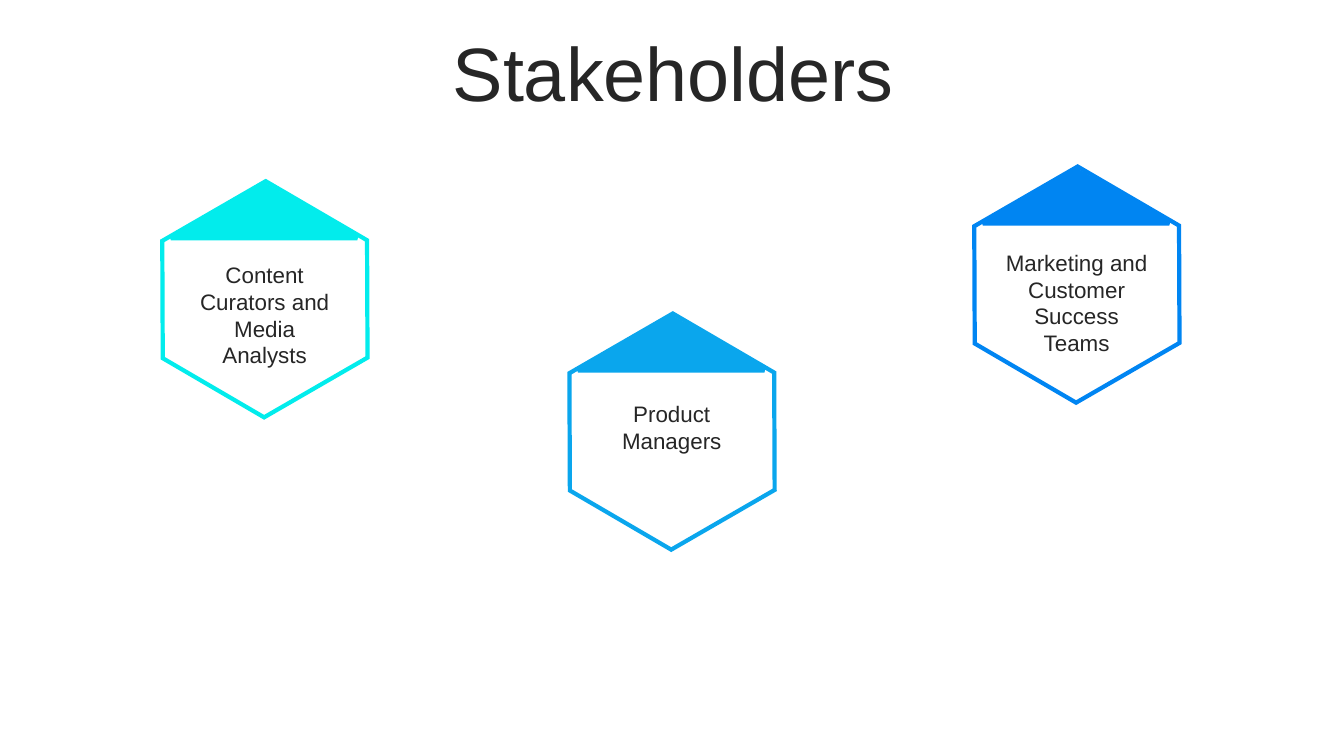
from dataclasses import dataclass

from lxml.etree import SubElement
from pptx import Presentation
from pptx.dml.color import RGBColor
from pptx.enum.shapes import MSO_SHAPE as Preset
from pptx.enum.text import MSO_ANCHOR as Anchor
from pptx.enum.text import MSO_AUTO_SIZE as AutoSize
from pptx.enum.text import PP_ALIGN as Align
from pptx.oxml.ns import qn
from pptx.shapes.autoshape import Shape
from pptx.shapes.group import GroupShape
from pptx.slide import Slide
from pptx.text.text import TextFrame
from pptx.util import Pt

INK = "262626"
WHITE = "FFFFFF"


@dataclass(frozen=True)
class Stakeholder:
    label: str
    color: str
    left: float
    top: float
    label_top: float
    label_height: float


STAKEHOLDERS = [
    Stakeholder("Content Curators and Media Analysts", "02ECEC", 105, 141, 182.9, 85),
    Stakeholder("Marketing and Customer Success Teams", "0085F2", 685, 130.5, 174.2, 85),
    Stakeholder("Product Managers", "0AA6ED", 395.8, 235.5, 282.2, 46),
]


def rgb(hex_color: str) -> RGBColor:
    return RGBColor.from_string(hex_color)


def write(frame: TextFrame, text: str, *, size: float, color: str = INK,
          font: str = "Arial", align: Align = Align.CENTER,
          anchor: Anchor = Anchor.TOP, auto_size: AutoSize = AutoSize.NONE,
          line_spacing: float = 1.0, space_before: float = 0) -> None:
    frame.word_wrap = True
    frame.auto_size = auto_size
    frame.vertical_anchor = anchor
    paragraph = frame.paragraphs[0]
    paragraph.alignment = align
    paragraph.line_spacing = line_spacing
    paragraph.space_before = Pt(space_before)
    run = paragraph.add_run()
    run.text = text
    run.font.name = font
    run.font.size = Pt(size)
    run.font.color.rgb = rgb(color)


def add_outlined(badge: GroupShape, preset: Preset, left: float, top: float,
                 width: float, height: float, fill: str, line: str) -> Shape:
    """Add a filled preset shape with a sharp-cornered outline."""
    shape = badge.shapes.add_shape(preset, Pt(left), Pt(top), Pt(width), Pt(height))
    shape.shadow.inherit = False
    shape.fill.solid()
    shape.fill.fore_color.rgb = rgb(fill)
    shape.line.color.rgb = rgb(line)
    shape.line.width = Pt(3)
    outline = shape.line._get_or_add_ln()
    SubElement(outline, qn("a:miter"), lim="800000")
    return shape


def add_badge(slide: Slide, person: Stakeholder) -> None:
    badge = slide.shapes.add_group_shape()
    hexagon = add_outlined(badge, Preset.HEXAGON, person.left, person.top,
                           168.5, 145.5, WHITE, person.color)
    hexagon.adjustments[0] = 0.286
    hexagon.adjustments[1] = 1.155
    hexagon.rotation = 330
    add_outlined(badge, Preset.ISOSCELES_TRIANGLE, person.left + 17, person.top - 9,
                 133.2, 38.2, person.color, person.color)
    label = badge.shapes.add_textbox(Pt(person.left + 25.7), Pt(person.label_top),
                                     Pt(116.6), Pt(person.label_height))
    write(label.text_frame, person.label, size=16,
          auto_size=AutoSize.SHAPE_TO_FIT_TEXT)


def add_heading(slide: Slide, text: str) -> None:
    heading = slide.shapes.title
    heading.left, heading.top = Pt(25.2), Pt(26.6)
    heading.width, heading.height = Pt(911.5), Pt(56.9)
    write(heading.text_frame, text, size=54, anchor=Anchor.MIDDLE,
          line_spacing=0.9, space_before=10)


def main() -> None:
    deck = Presentation()
    deck.slide_width, deck.slide_height = Pt(960), Pt(540)
    title_only = deck.slide_layouts.get_by_name("Title Only")
    slide = deck.slides.add_slide(title_only)
    add_heading(slide, "Stakeholders")
    for person in STAKEHOLDERS:
        add_badge(slide, person)
    deck.save("out.pptx")


if __name__ == "__main__":
    main()
